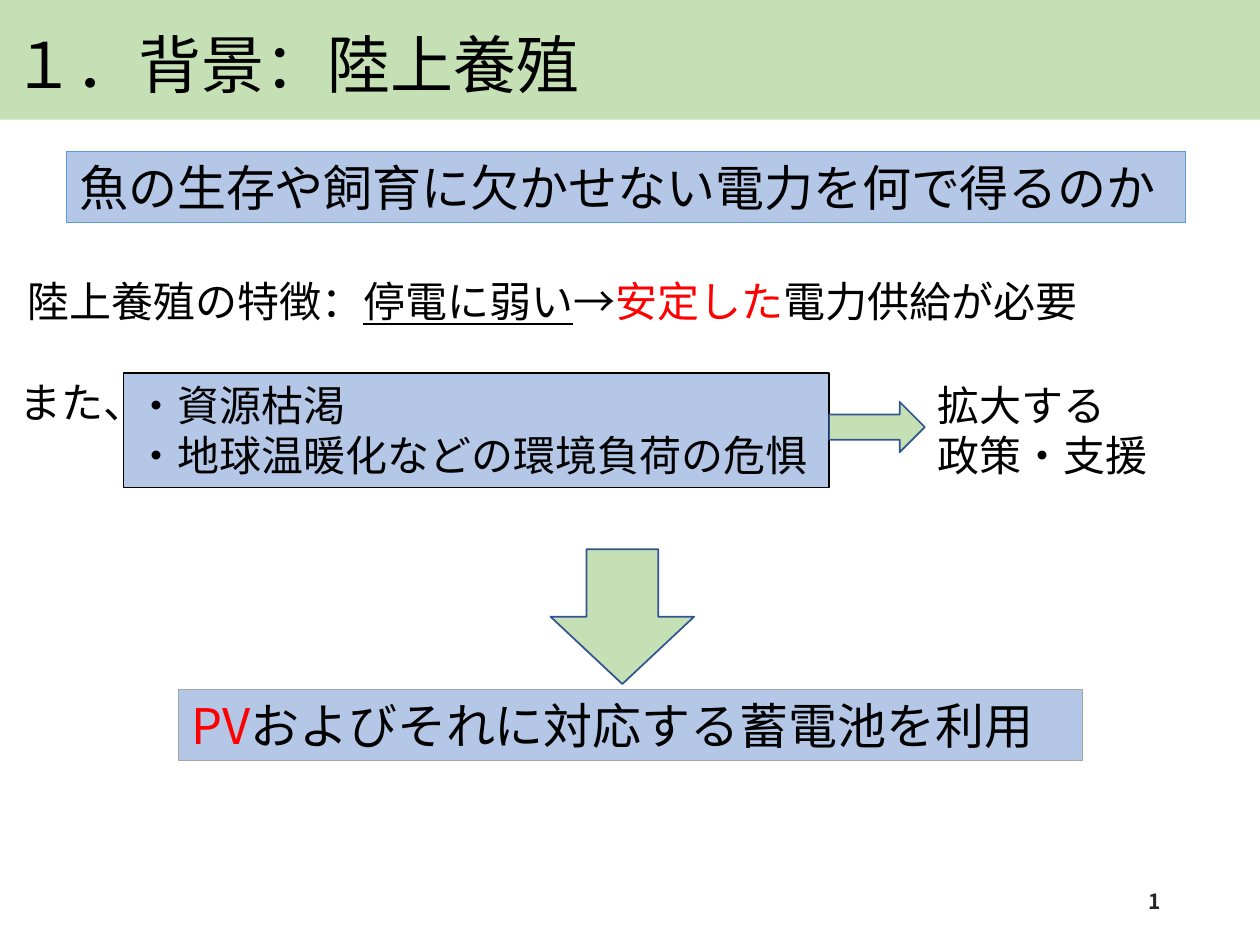
from lxml.etree import SubElement
from pptx import Presentation
from pptx.dml.color import RGBColor
from pptx.enum.shapes import MSO_SHAPE
from pptx.enum.text import MSO_ANCHOR, PP_ALIGN
from pptx.oxml.ns import qn
from pptx.util import Pt

GREEN = RGBColor(0xC5, 0xE0, 0xB4)
BLUE = RGBColor(0xB4, 0xC7, 0xE7)
BORDER_BLUE = RGBColor(0x5B, 0x9B, 0xD5)
ARROW_BLUE = RGBColor(0x32, 0x54, 0x91)
GRAY = RGBColor(0xA5, 0xA5, 0xA5)
BLACK = RGBColor(0, 0, 0)
DARK = RGBColor(0x26, 0x26, 0x26)
RED = RGBColor(0xFF, 0, 0)

SANS = "Noto Sans CJK JP"
SERIF = "Times New Roman"
LINE_FACTOR = 1.2


def add_run(paragraph, text, size, color=BLACK, name=SANS, **formats):
    run = paragraph.add_run()
    run.text = text
    for key, value in {"size": Pt(size), "name": name, **formats}.items():
        setattr(run.font, key, value)
    run.font.color.rgb = color
    # East Asian characters take their typeface from a:ea
    SubElement(run.font._element, qn("a:ea"), typeface=SANS)


def write_text(shape, lines, size, align=PP_ALIGN.LEFT, anchor=MSO_ANCHOR.TOP):
    """Each line is a list of (text, formats) runs."""
    frame = shape.text_frame
    frame.word_wrap = True
    frame.vertical_anchor = anchor
    for index, runs in enumerate(lines):
        paragraph = frame.paragraphs[0] if index == 0 else frame.add_paragraph()
        paragraph.alignment = align
        paragraph.line_spacing = Pt(size * LINE_FACTOR)
        for text, formats in runs:
            add_run(paragraph, text, size, **formats)


def add_text(slide, box, lines, size, **layout):
    shape = slide.shapes.add_textbox(*map(Pt, box))
    write_text(shape, lines, size, **layout)


def add_block(slide, kind, box, fill, border=None, width=1):
    shape = slide.shapes.add_shape(kind, *map(Pt, box))
    shape.shadow.inherit = False
    shape.fill.solid()
    shape.fill.fore_color.rgb = fill
    if border is None:
        shape.line.fill.background()
    else:
        shape.line.color.rgb = border
        shape.line.width = Pt(width)
    return shape


def add_panel(slide, box, border, width, lines, size):
    shape = add_block(slide, MSO_SHAPE.RECTANGLE, box, BLUE, border, width)
    write_text(shape, lines, size)


def main():
    presentation = Presentation()
    presentation.slide_width, presentation.slide_height = Pt(720), Pt(540)
    slide = presentation.slides.add_slide(presentation.slide_layouts[6])

    # Title band and page number
    add_block(slide, MSO_SHAPE.RECTANGLE, (0, 0, 720, 68.4), GREEN)
    add_text(slide, (508.3, 500.4, 162, 28.8), [[("1", {"color": DARK, "bold": True})]],
             12, align=PP_ALIGN.RIGHT, anchor=MSO_ANCHOR.MIDDLE)
    add_text(slide, (0, 10.8, 720, 72.7),
             [[("１", {"name": SERIF}), ("．背景：陸上養殖", {})]], 36)

    # Main question
    add_panel(slide, (38.2, 86.4, 639.4, 41), BORDER_BLUE, 0.5,
              [[("魚の生存や飼育に欠かせない電力を何で得るのか", {})]], 28)

    # Feature of land-based farming
    add_text(slide, (8.6, 154.1, 644.4, 36),
             [[("陸上養殖の特徴：", {}), ("停電に弱い", {"underline": True}), ("→", {}),
               ("安定した", {"color": RED}), ("電力供給が必要", {})]], 24)

    # Concerns leading to policy support
    add_panel(slide, (70.6, 213.1, 403.2, 65.5), BLACK, 0.75,
              [[("・資源枯渇", {})], [("・地球温暖化などの環境負荷の危惧", {})]], 24)
    add_text(slide, (4.3, 211.7, 100, 36), [[("また、", {})]], 24)
    add_text(slide, (528.5, 213.1, 162, 65.5),
             [[("拡大する", {})], [("政策・支援", {})]], 24)
    add_block(slide, MSO_SHAPE.RIGHT_ARROW, (473.8, 229.7, 54.7, 28.8), GREEN, ARROW_BLUE)

    # Conclusion
    add_block(slide, MSO_SHAPE.DOWN_ARROW, (314.6, 313.9, 82.1, 77), GREEN, ARROW_BLUE)
    add_panel(slide, (102.2, 393.8, 516.2, 41), GRAY, 0.5,
              [[("PV", {"color": RED}), ("およびそれに対応する蓄電池を利用", {})]], 28)

    presentation.save("out.pptx")


if __name__ == "__main__":
    main()
